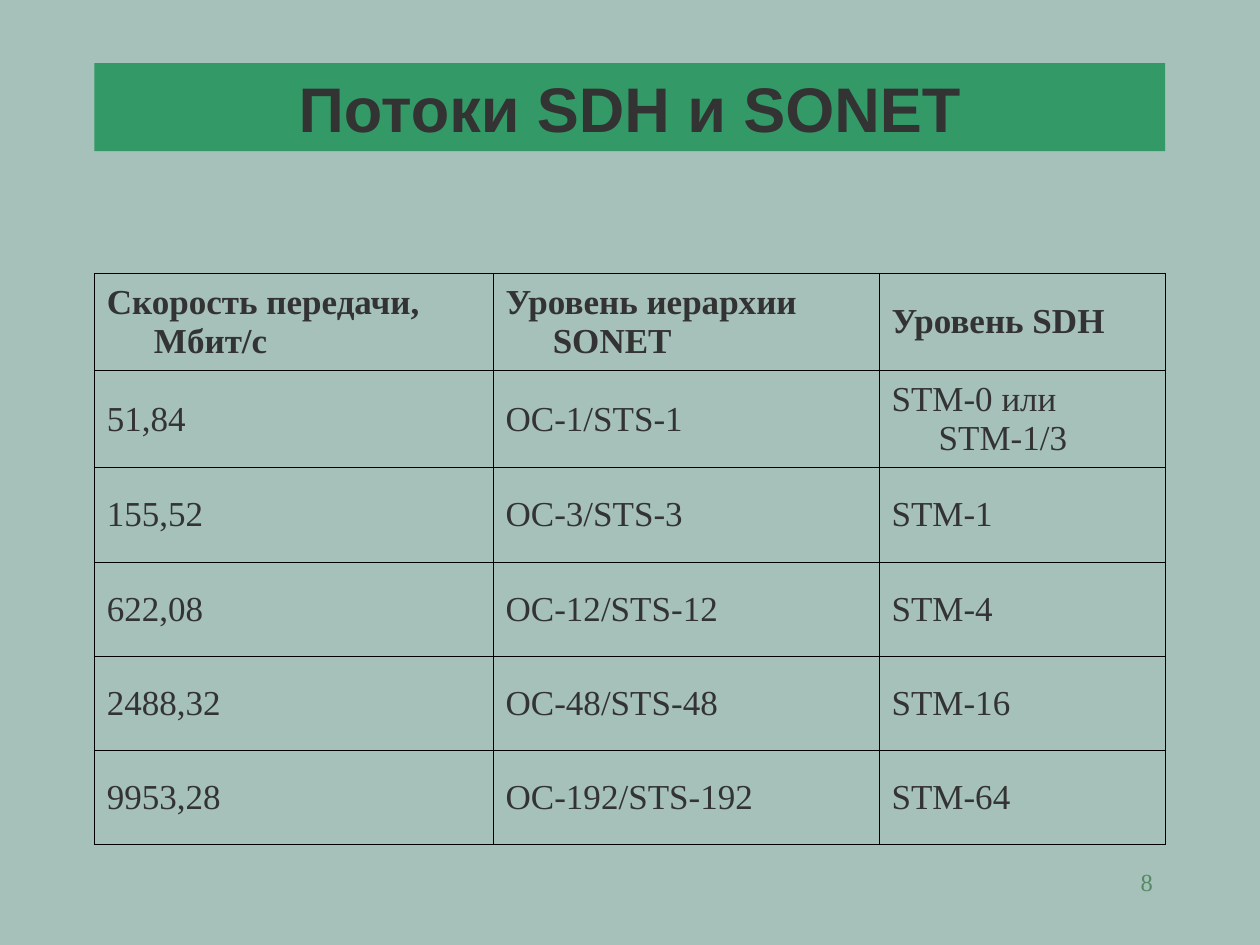
from dataclasses import dataclass
from lxml import etree
from pptx import Presentation, util as u
from pptx.dml.color import RGBColor
from pptx.enum import text
from pptx.oxml import ns


@dataclass
class Theme:
    back: str = "A5C1BA"
    band: str = "339966"
    ink: str = "333333"
    mark: str = "578963"
    rule: str = "000000"
    sans: str = "Arial"
    serif: str = "Times New Roman"
    head: int = 36
    body: int = 20
    foot: int = 14
    line: float = 0.45


class Deck:
    def __init__(self, theme):
        self.theme = theme
        self.show = Presentation()
        self.show.slide_width, self.show.slide_height = u.Cm(25.4), u.Cm(19.05)
        self.slide = self.show.slides.add_slide(self.show.slide_layouts[5])
        self.paint(self.slide.background.fill, theme.back)

    def paint(self, fill, color):
        fill.solid()
        fill.fore_color.rgb = RGBColor.from_string(color)

    def phrase(self, para, words, color, align=text.PP_ALIGN.LEFT, **style):
        run = para.add_run()
        run.text = words
        para.alignment = align
        for key, value in style.items():
            setattr(run.font, key, value)
        run.font.color.rgb = RGBColor.from_string(color)

    def title(self, words, box):
        t = self.theme
        shape = self.slide.shapes.title
        shape.left, shape.top, shape.width, shape.height = map(u.Cm, box)
        self.paint(shape.fill, t.band)
        frame = shape.text_frame
        look = {"word_wrap": True, "auto_size": text.MSO_AUTO_SIZE.NONE,
                "vertical_anchor": text.MSO_ANCHOR.MIDDLE}
        for key, value in look.items():
            setattr(frame, key, value)
        self.phrase(frame.paragraphs[0], words, t.ink, text.PP_ALIGN.CENTER,
                    name=t.sans, size=u.Pt(t.head), bold=True)

    def label(self, words, box):
        t = self.theme
        frame = self.slide.shapes.add_textbox(*map(u.Cm, box)).text_frame
        frame.word_wrap = True
        self.phrase(frame.paragraphs[0], words, t.mark, text.PP_ALIGN.RIGHT,
                    name=t.serif, size=u.Pt(t.foot))

    def border(self, cell):
        props = cell._tc.get_or_add_tcPr()
        for spot, side in enumerate(("lnL", "lnR", "lnT", "lnB")):
            line = etree.Element(ns.qn("a:" + side), w=str(u.Pt(self.theme.line)))
            fill = etree.SubElement(line, ns.qn("a:solidFill"))
            etree.SubElement(fill, ns.qn("a:srgbClr"), val=self.theme.rule)
            props.insert(spot, line)

    def cell(self, cell, words, bold):
        t = self.theme
        cell.fill.background()
        cell.vertical_anchor = text.MSO_ANCHOR.MIDDLE
        para = cell.text_frame.paragraphs[0]
        self.phrase(para, words, t.ink, name=t.serif, size=u.Pt(t.body), bold=bold)
        props = para._p.get_or_add_pPr()
        for key, value in {"marL": 0.95, "indent": -0.95}.items():
            props.set(key, str(u.Cm(value)))
        self.border(cell)

    def table(self, data, spot, cols, rows):
        sizes = map(u.Cm, (*spot, sum(cols), sum(rows)))
        grid = self.slide.shapes.add_table(len(rows), len(cols), *sizes).table
        grid.first_row = grid.horz_banding = False
        for col, width in zip(grid.columns, cols):
            col.width = u.Cm(width)
        for row, high, items in zip(grid.rows, rows, data):
            row.height = u.Cm(high)
            for cell, words in zip(row.cells, items):
                self.cell(cell, words, items is data[0])


def main():
    data = [
        ("Скорость передачи, Мбит/c", "Уровень иерархии SONET", "Уровень SDH"),
        ("51,84", "OC-1/STS-1", "STM-0 или STM-1/3"),
        ("155,52", "OC-3/STS-3", "STM-1"),
        ("622,08", "OC-12/STS-12", "STM-4"),
        ("2488,32", "OC-48/STS-48", "STM-16"),
        ("9953,28", "ОC-192/STS-192", "STM-64"),
    ]
    deck = Deck(Theme())
    deck.title("Потоки SDH и SONET", (1.9, 1.27, 21.59, 1.78))
    deck.table(data, (1.9, 5.51), (8.04, 7.78, 5.77), [1.96] * 2 + [1.9] * 4)
    deck.label("8", (18.21, 17.35, 5.28, 1.27))
    deck.show.save("out.pptx")


if __name__ == "__main__":
    main()
